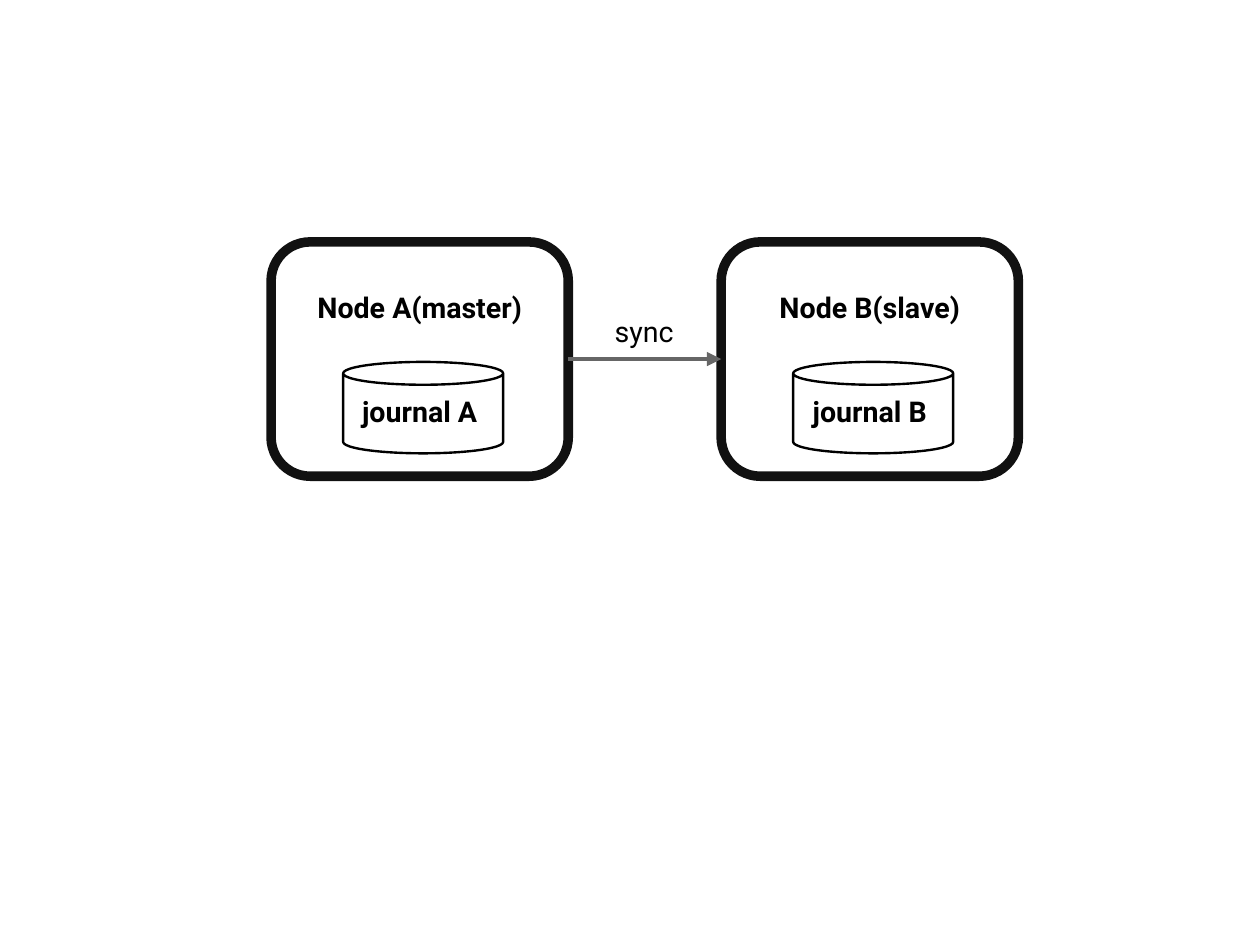
import lxml.etree
import pptx
import pptx.dml.color
import pptx.enum.shapes
import pptx.enum.text
import pptx.oxml.ns
import pptx.util

Pt = pptx.util.Pt
SHAPES = pptx.enum.shapes.MSO_SHAPE
ALIGN = pptx.enum.text.PP_ALIGN
ANCHOR = pptx.enum.text.MSO_ANCHOR

COLOURS = {
    "paper": "FFFFFF",
    "border": "111111",
    "ink": "000000",
    "arrow": "666666",
}


def colour(name):
    return pptx.dml.color.RGBColor.from_string(COLOURS[name])


def write_text(para, text, font="Roboto", size=18, bold=False, ink="ink",
               align=ALIGN.LEFT, space_before=0):
    para.alignment = align
    para.space_before = Pt(space_before)
    span = para.add_run()
    span.text = text
    span.font.name = font
    span.font.size = Pt(size)
    span.font.bold = bold
    span.font.color.rgb = colour(ink)


class Diagram:
    """Holds the current slide and the style of the diagram."""

    node_size = (187.2, 147.6)
    journal_offset = (45.36, 75.6)
    journal_size = (100.8, 57.6)
    journal_gap = 43.4  # about two text lines between name and journal

    def __init__(self, page):
        self.page = page

    def outline(self, kind, left, top, size, line, weight, fill=None):
        box = self.page.shapes.add_shape(
            kind, Pt(left), Pt(top), Pt(size[0]), Pt(size[1]))
        box.shadow.inherit = False
        if fill:
            box.fill.solid()
            box.fill.fore_color.rgb = colour(fill)
        else:
            box.fill.background()
        box.line.color.rgb = colour(line)
        box.line.width = Pt(weight)
        return box

    def node(self, left, top, name, journal):
        box = self.outline(SHAPES.ROUNDED_RECTANGLE, left, top,
                           self.node_size, "border", 6, fill="paper")
        frame = box.text_frame
        frame.word_wrap = False
        frame.vertical_anchor = ANCHOR.MIDDLE
        write_text(frame.paragraphs[0], name, bold=True, align=ALIGN.CENTER)
        write_text(frame.add_paragraph(), journal, bold=True,
                   align=ALIGN.CENTER, space_before=self.journal_gap)
        self.outline(SHAPES.CAN, left + self.journal_offset[0],
                     top + self.journal_offset[1], self.journal_size,
                     "ink", 1.5)
        return box

    def arrow(self, source, target):
        link = self.page.shapes.add_connector(
            pptx.enum.shapes.MSO_CONNECTOR.STRAIGHT, 0, 0, 0, 0)
        link.begin_connect(source, 3)
        link.end_connect(target, 1)
        link.line.color.rgb = colour("arrow")
        link.line.width = Pt(3)
        qn = pptx.oxml.ns.qn
        lxml.etree.SubElement(link.line._get_or_add_ln(), qn("a:tailEnd"),
                              type="triangle")
        lxml.etree.SubElement(link._element.spPr, qn("a:effectLst"))

    def label(self, left, top, width, height, text):
        box = self.page.shapes.add_textbox(
            Pt(left), Pt(top), Pt(width), Pt(height))
        box.text_frame.word_wrap = True
        write_text(box.text_frame.paragraphs[0], text)


def main():
    deck = pptx.Presentation()
    deck.slide_width, deck.slide_height = Pt(793.7), Pt(595.28)
    diagram = Diagram(deck.slides.add_slide(deck.slide_layouts[6]))

    # Two nodes, each with its journal
    left, top, pitch = 170.8, 152.4, 283.5
    master, slave = [
        diagram.node(left + index * pitch, top,
                     f"Node {letter}({role})", f"journal {letter}")
        for index, (letter, role) in enumerate(
            [("A", "master"), ("B", "slave")])
    ]

    # Synchronisation from master to slave
    diagram.arrow(master, slave)
    diagram.label(380.16, 194, 64.8, 32.4, "sync")

    deck.save("out.pptx")


if __name__ == "__main__":
    main()
